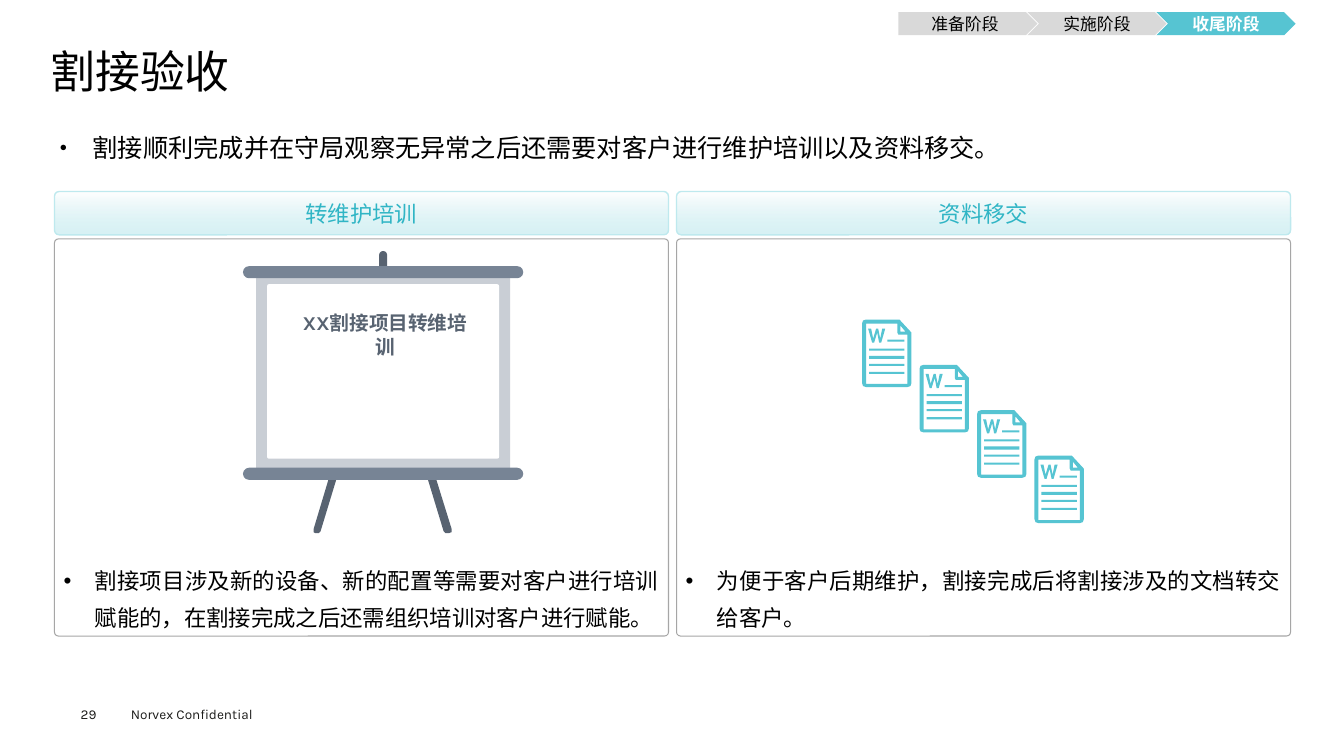
from dataclasses import dataclass

import lxml.etree
import pptx
import pptx.dml.color
import pptx.enum.dml
import pptx.enum.shapes
import pptx.enum.text
import pptx.oxml.ns
import pptx.shapes.autoshape
import pptx.slide
import pptx.text.text
import pptx.util

Inches = pptx.util.Inches
Pt = pptx.util.Pt
Preset = pptx.enum.shapes.MSO_SHAPE
Align = pptx.enum.text.PP_ALIGN
Anchor = pptx.enum.text.MSO_ANCHOR
Point = tuple[float, float]
Box = tuple[float, float, float, float]

FONT = "Karla"
COLORS = {
    "black": "000000", "white": "FFFFFF", "footer": "1D1D1B",
    "teal": "56C4D2", "heading": "30B5C5", "pale": "BEE9EE",
    "border": "A6A6A6", "inactive": "D9D9D9",
    "easel_dark": "586371", "easel_bar": "778495", "easel_frame": "C9CED5",
}


@dataclass
class Stage:
    label: str
    preset: Preset
    fill: str
    color: str
    bold: bool


@dataclass
class Panel:
    heading: str
    note: str


@dataclass
class EaselPart:
    preset: Preset
    box: Box
    fill: str
    rounding: float | None = None


STAGES = [
    Stage("准备阶段", Preset.PENTAGON, "inactive", "black", False),
    Stage("实施阶段", Preset.CHEVRON, "inactive", "black", False),
    Stage("收尾阶段", Preset.CHEVRON, "teal", "white", True),
]
PANELS = [
    Panel("转维护培训", "割接项目涉及新的设备、新的配置等需要对客户进行培训赋能的，"
          "在割接完成之后还需组织培训对客户进行赋能。"),
    Panel("资料移交", "为便于客户后期维护，割接完成后将割接涉及的文档转交给客户。"),
]
EASEL_PARTS = [
    EaselPart(Preset.ROUNDED_RECTANGLE, (3.76, 2.49, 0.08, 1.43), "easel_dark", 0.5),
    EaselPart(Preset.RECTANGLE, (2.54, 2.66, 2.52, 2.06), "easel_frame"),
    EaselPart(Preset.ROUNDED_RECTANGLE, (2.65, 2.82, 2.3, 1.73), "white", 0.01),
    EaselPart(Preset.ROUNDED_RECTANGLE, (2.41, 2.64, 2.78, 0.12), "easel_bar", 0.5),
    EaselPart(Preset.ROUNDED_RECTANGLE, (2.41, 4.64, 2.78, 0.12), "easel_bar", 0.5),
]

# Freeform outlines, in hundredths of an inch from their own top left corner.
LEGS = [[(13, 4), (13, 30), (31, 30), (1, 130), (1, 133), (3, 134.5), (6, 134),
         (8, 132), (39, 30), (99, 30), (130, 132), (132, 134), (135, 134.5),
         (138, 133), (138, 130), (107, 30), (140, 30), (140, 4)]]
DOCUMENT = [
    [(37, 0), (4, 0), (1, 1), (0, 4), (0, 63), (1, 66), (4, 67), (45, 67),
     (48, 66), (49, 63), (49, 13)],
    [(38, 6), (43, 12), (38, 12)],
    [(45, 63.5), (3.5, 63.5), (3.5, 3.5), (35, 3.5), (35, 13), (36, 15), (45, 15)],
    [(10, 23), (6, 9), (9, 9), (11, 19), (13.5, 9), (16, 9), (18.5, 19), (20.5, 9),
     (23, 9), (19, 23), (17, 23), (14.7, 13), (12, 23)],
    [(25, 20), (42, 20), (42, 22.5), (25, 22.5)],
]
for bar in range(4):
    bar_top = 28.7 + 7.6 * bar
    DOCUMENT.append([(7, bar_top), (42, bar_top), (42, bar_top + 2.5), (7, bar_top + 2.5)])


def rgb(name: str) -> pptx.dml.color.RGBColor:
    return pptx.dml.color.RGBColor.from_string(COLORS[name])


def prepare_frame(frame: pptx.text.text.TextFrame, insets: Point, anchor: Anchor) -> None:
    frame.word_wrap = True
    frame.auto_size = pptx.enum.text.MSO_AUTO_SIZE.NONE
    frame.vertical_anchor = anchor
    frame.margin_left = frame.margin_right = Inches(insets[0])
    frame.margin_top = frame.margin_bottom = Inches(insets[1])


def write(frame: pptx.text.text.TextFrame, text: str, size: float, color: str,
          align: Align = Align.LEFT, bold: bool = False) -> pptx.text.text._Paragraph:
    paragraph = frame.paragraphs[0]
    paragraph.alignment = align
    run = paragraph.add_run()
    run.text = text
    run.font.name = FONT
    run.font.size = Pt(size)
    run.font.bold = bold
    run.font.color.rgb = rgb(color)
    return paragraph


def add_bullet(paragraph: pptx.text.text._Paragraph, indent: float,
               character: str, percent: int) -> None:
    properties = paragraph._p.get_or_add_pPr()
    properties.set("marL", str(Inches(indent)))
    properties.set("indent", str(-Inches(indent)))
    qualified = pptx.oxml.ns.qn
    lxml.etree.SubElement(properties, qualified("a:buSzPct"), val=str(percent * 1000))
    lxml.etree.SubElement(properties, qualified("a:buFont"), typeface="Arial")
    lxml.etree.SubElement(properties, qualified("a:buChar"), char=character)


def add_shape(slide: pptx.slide.Slide, preset: Preset, box: Box, fill: str | None,
              rounding: float | None = None) -> pptx.shapes.autoshape.Shape:
    shape = slide.shapes.add_shape(preset, *map(Inches, box))
    shape.shadow.inherit = False
    shape.line.fill.background()
    if fill:
        shape.fill.solid()
        shape.fill.fore_color.rgb = rgb(fill)
    else:
        shape.fill.background()
    if rounding is not None:
        shape.adjustments[0] = rounding
    return shape


def set_line(shape: pptx.shapes.autoshape.Shape, color: str, width: float) -> None:
    shape.line.color.rgb = rgb(color)
    shape.line.width = Pt(width)


def fade_to_pale(shape: pptx.shapes.autoshape.Shape) -> None:
    """Fill from white at the top to a 60% opaque pale teal at the bottom."""
    shape.fill.gradient()
    shape.fill.gradient_angle = 270
    for stop, color in zip(shape.fill.gradient_stops, ("white", "pale")):
        stop.color.rgb = rgb(color)
    last_color = shape._element.findall(".//" + pptx.oxml.ns.qn("a:gs"))[-1][0]
    lxml.etree.SubElement(last_color, pptx.oxml.ns.qn("a:alpha"), val="60000")


def add_outline(slide: pptx.slide.Slide, contours: list[list[Point]],
                left: float, top: float, fill: str) -> None:
    builder = slide.shapes.build_freeform(*contours[0][0], scale=Inches(0.01))
    for index, contour in enumerate(contours):
        if index:
            builder.move_to(*contour[0])
        builder.add_line_segments(contour[1:], close=True)
    shape = builder.convert_to_shape(Inches(left), Inches(top))
    shape.shadow.inherit = False
    shape.fill.solid()
    shape.fill.fore_color.rgb = rgb(fill)
    shape.line.fill.background()


def add_label(slide: pptx.slide.Slide, box: Box, text: str, size: float, color: str,
              insets: Point, align: Align = Align.LEFT, bold: bool = False) -> None:
    frame = slide.shapes.add_textbox(*map(Inches, box)).text_frame
    prepare_frame(frame, insets, Anchor.MIDDLE)
    write(frame, text, size, color, align, bold)


def fill_placeholders(slide: pptx.slide.Slide) -> None:
    title, body = slide.placeholders
    for shape, box, insets in ((title, (0.5, 0.49, 12.35, 0.53), (0, 0)),
                               (body, (0.5, 1.15, 12.35, 5.34), (0.09, 0.04))):
        shape.left, shape.top, shape.width, shape.height = map(Inches, box)
        prepare_frame(shape.text_frame, insets, Anchor.TOP)
    write(title.text_frame, "割接验收", 32, "black").line_spacing = 0.9
    paragraph = write(body.text_frame, "割接顺利完成并在守局观察无异常之后还需要对客户进行维护培训以及资料移交。",
                      18, "black", Align.JUSTIFY)
    paragraph.line_spacing = 1.4
    paragraph.space_before = Pt(0)
    add_bullet(paragraph, 0.33, "●", 50)


def add_panel(slide: pptx.slide.Slide, panel: Panel, left: float) -> None:
    header = add_shape(slide, Preset.ROUNDED_RECTANGLE, (left, 1.9, 6.09, 0.43), None, 0.11)
    fade_to_pale(header)
    set_line(header, "pale", 1)
    prepare_frame(header.text_frame, (0, 0), Anchor.MIDDLE)
    write(header.text_frame, panel.heading, 16, "heading", Align.CENTER)

    content = add_shape(slide, Preset.ROUNDED_RECTANGLE, (left, 2.37, 6.09, 3.94), None, 0.01)
    set_line(content, "border", 0.75)
    prepare_frame(content.text_frame, (0.08, 0.04), Anchor.BOTTOM)
    paragraph = write(content.text_frame, panel.note, 16, "black", Align.JUSTIFY)
    paragraph.line_spacing = Pt(26)
    paragraph.space_after = Pt(6)
    add_bullet(paragraph, 0.31, "•", 100)


def main() -> None:
    presentation = pptx.Presentation()
    presentation.slide_width, presentation.slide_height = Inches(13.33), Inches(7.5)
    slide = presentation.slides.add_slide(presentation.slide_layouts[1])
    fill_placeholders(slide)
    add_label(slide, (1.2, 6.95, 1.8, 0.27), "Norvex Confidential", 9.7, "footer", (0.1, 0.05))
    add_label(slide, (0.8, 7, 0.55, 0.16), "29", 9.7, "footer", (0, 0))
    for index, panel in enumerate(PANELS):
        add_panel(slide, panel, 0.54 + 6.17 * index)
    add_outline(slide, LEGS, 3.1, 3.95, "easel_dark")
    for part in EASEL_PARTS:
        add_shape(slide, part.preset, part.box, part.fill, part.rounding)
    add_label(slide, (2.81, 3.11, 2.02, 0.42), "XX割接项目转维培训", 14, "easel_dark",
              (0.1, 0.05), Align.CENTER, True)
    for index in range(4):
        add_outline(slide, DOCUMENT, 8.55 + 0.57 * index, 3.17 + 0.45 * index, "teal")
    for index, stage in enumerate(STAGES):
        arrow = add_shape(slide, stage.preset, (8.91 + 1.28 * index, 0.12, 1.38, 0.23), stage.fill)
        prepare_frame(arrow.text_frame, (0, 0), Anchor.MIDDLE)
        write(arrow.text_frame, stage.label, 12, stage.color, Align.CENTER, stage.bold)
    presentation.save("out.pptx")


if __name__ == "__main__":
    main()
